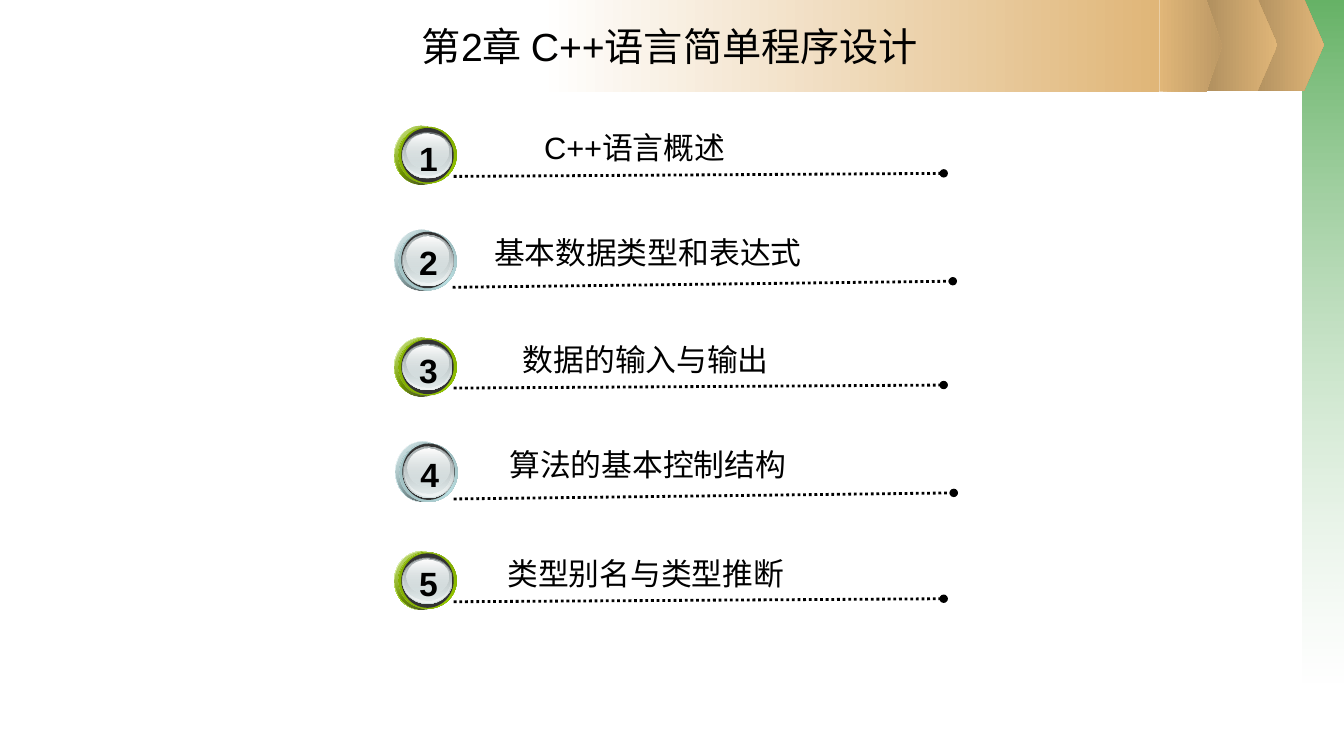
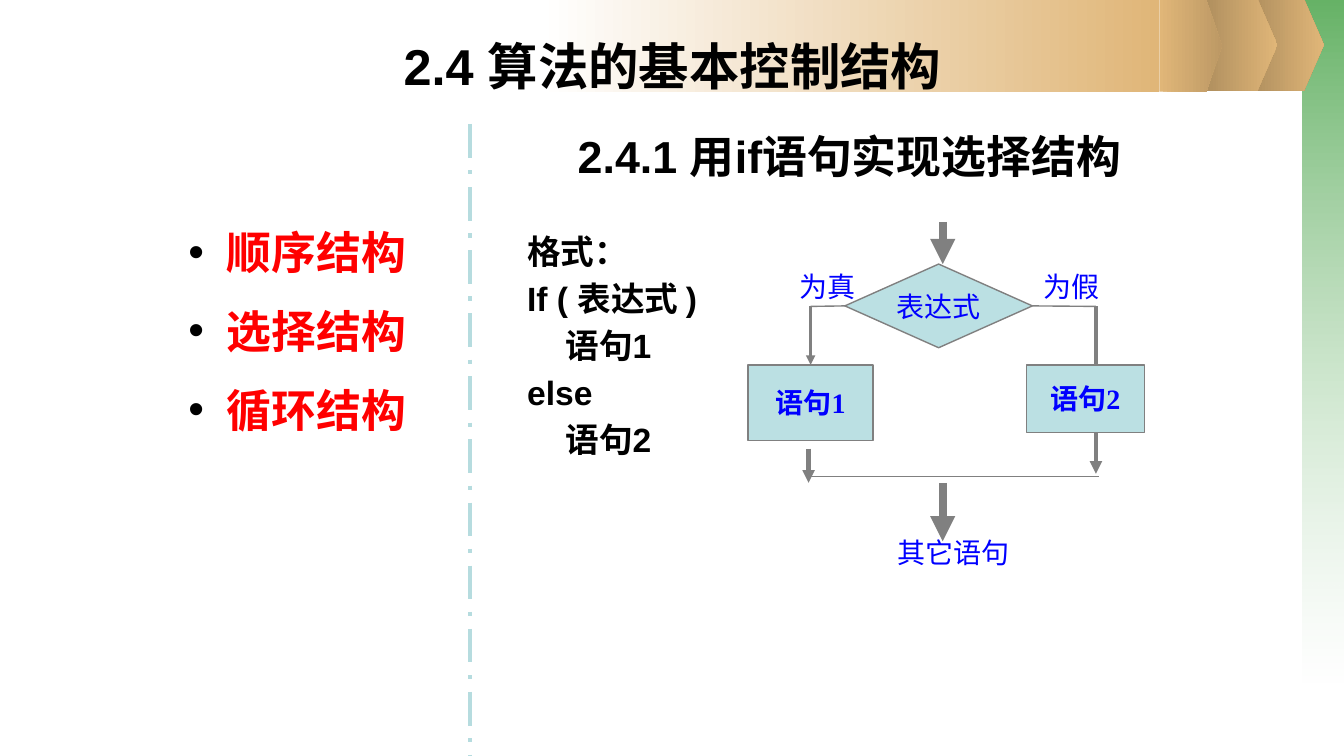
from dataclasses import dataclass
from typing import NamedTuple

from lxml import etree
from pptx import Presentation
from pptx import util as u
from pptx.dml.color import RGBColor
from pptx.enum import dml, shapes, text
from pptx.oxml.ns import qn

EMU_PER_PX = 9144  # 100 px to the inch
COLORS = {
    "black": "000000", "white": "FFFFFF", "red": "FF0000", "blue": "0000FF",
    "gray": "808080", "dark": "333333", "forest": "339933",
    "tan": "E0B678", "tan_shade": "BD9965", "brown": "AB8B5C",
    "lime": "99CC00", "lime_rim": "759C00", "lime_edge": "7EA700",
    "aqua": "BBE0E3", "aqua_rim": "8FACAE", "aqua_edge": "9AB8BA",
    "aqua_line": "B6DCDF", "glass": "D6E1E2", "glass_dark": "636869",
    "glass_mid": "AAB2B3", "glass_light": "F1F5F5",
}
PRESET = shapes.MSO_SHAPE
CENTER = text.PP_ALIGN.CENTER
MIDDLE = text.MSO_ANCHOR.MIDDLE


class Box(NamedTuple):
    left: int
    top: int
    width: int
    height: int

    def moved(self, left: int, top: int) -> "Box":
        return Box(self.left + left, self.top + top, self.width, self.height)


class Stop(NamedTuple):
    position: int
    color: str
    opacity: int = 100


class Gradient(NamedTuple):
    angle: int
    stops: tuple[Stop, ...]


@dataclass(frozen=True)
class Style:
    size: int
    font: str = "Arial"
    color: str = "black"
    bold: bool = False
    align: text.PP_ALIGN | None = None
    before: float = 0
    spacing: float | None = None


@dataclass(frozen=True)
class Stroke:
    width: float
    color: str = "gray"
    dash: dml.MSO_LINE | None = None
    tail: str | None = None


@dataclass(frozen=True)
class Badge:
    """Colours and layer boxes of a round number badge, with its leader line."""
    colors: tuple[str, str, str]
    layers: tuple[Box, ...]
    leader: tuple[int, int, int, int]


class Chapter(NamedTuple):
    left: int
    top: int
    label: str
    label_box: Box


CHAPTER_TITLE = Style(28, align=CENTER)
SECTION_TITLE = Style(36, bold=True, align=CENTER)
SUBTITLE = Style(32, bold=True, align=CENTER)
CHAPTER_LABEL = Style(22, align=CENTER)
NUMBER = Style(24, bold=True, align=CENTER)
TOPIC = Style(32, color="red", bold=True, before=6.4, spacing=1.3)
CODE = Style(24, bold=True, before=4.8)
BRANCH = Style(20, "Times New Roman", "blue")
NODE = Style(20, "Times New Roman", "blue", align=CENTER)
STATEMENT = Style(20, "Times New Roman", "blue", bold=True, align=CENTER)

LEADER = Stroke(2, "black", dml.MSO_LINE.ROUND_DOT, "oval")
DIVIDER = Stroke(3, "aqua_line", dml.MSO_LINE.LONG_DASH_DOT)
THIN = Stroke(1)
BRANCH_ARROW = Stroke(2.25, tail="triangle")
MERGE_ARROW = Stroke(3, tail="triangle")
FLOW_ARROW = Stroke(6, tail="triangle")

ARROW_FILL = Gradient(0, (Stop(0, "brown"), Stop(100, "tan")))
BANDS = (
    (PRESET.RECTANGLE, Box(1292, 0, 41, 677),
     Gradient(90, (Stop(0, "forest", 75), Stop(100, "white", 37)))),
    (PRESET.PENTAGON, Box(1234, -1, 79, 91), ARROW_FILL),
    (PRESET.PENTAGON, Box(1188, -1, 79, 91), ARROW_FILL),
    (PRESET.RECTANGLE, Box(536, 0, 614, 91),
     Gradient(0, (Stop(0, "white"), Stop(100, "tan")))),
    (PRESET.PENTAGON, Box(1150, 0, 62, 91),
     Gradient(0, (Stop(0, "tan"), Stop(100, "tan_shade")))),
)

NUMBER_BOX = Box(15, 7, 37, 50)
BADGES = (
    Badge(("lime", "lime_rim", "lime_edge"),
          (Box(0, 0, 53, 58), Box(0, 0, 53, 58), Box(4, 1, 58, 56),
           Box(4, 1, 58, 56), Box(7, 2, 52, 54), Box(8, 6, 50, 46),
           Box(8, 6, 49, 45), Box(9, 7, 47, 42), Box(12, 8, 42, 34)),
          (59, 50, 545, 47)),
    Badge(("aqua", "aqua_rim", "aqua_edge"),
          (Box(0, 0, 54, 60), Box(0, 0, 54, 60), Box(4, 2, 58, 58),
           Box(4, 2, 58, 58), Box(7, 2, 52, 56), Box(8, 5, 51, 51),
           Box(9, 5, 49, 50), Box(9, 5, 47, 47), Box(12, 7, 42, 38)),
          (58, 57, 554, 51)),
)
CHAPTERS = (
    Chapter(391, 125, "C++语言概述", Box(399, 123, 461, 47)),
    Chapter(391, 228, "基本数据类型和表达式", Box(401, 227, 483, 47)),
    Chapter(391, 335, "数据的输入与输出", Box(399, 333, 483, 47)),
    Chapter(392, 438, "算法的基本控制结构", Box(401, 437, 483, 47)),
    Chapter(391, 547, "类型别名与类型推断", Box(399, 545, 483, 47)),
)
FREE_LINES = (
    ((802, 445, 802, 479), MERGE_ARROW),
    ((800, 473, 1090, 473), THIN),
    ((1087, 304, 1087, 470), MERGE_ARROW),
    ((935, 479, 935, 537), FLOW_ARROW),
    ((935, 220, 935, 262), FLOW_ARROW),
)
BRANCH_LABELS = (
    ("为真", Box(783, 262, 76, 44)),
    ("为假", Box(1025, 262, 76, 44)),
    ("其它语句", Box(880, 526, 131, 44)),
)


def px(length: int) -> u.Emu:
    return u.Emu(length * EMU_PER_PX)


def rgb(name: str) -> RGBColor:
    return RGBColor.from_string(COLORS[name])


def set_gradient(shape, gradient: Gradient) -> None:
    shape.fill.gradient()
    element = shape.element.spPr.find(qn("a:gradFill"))
    for child in list(element):
        element.remove(child)
    stops = etree.SubElement(element, qn("a:gsLst"))
    for stop in gradient.stops:
        mark = etree.SubElement(stops, qn("a:gs"), pos=str(stop.position * 1000))
        color = etree.SubElement(mark, qn("a:srgbClr"), val=COLORS[stop.color])
        if stop.opacity < 100:
            etree.SubElement(color, qn("a:alpha"), val=str(stop.opacity * 1000))
    etree.SubElement(element, qn("a:lin"), ang=str(gradient.angle * 60000), scaled="0")


def add_shape(parent, preset: PRESET, box: Box, fill: Gradient | str,
              outline: str | None = None):
    shape = parent.shapes.add_shape(preset, *map(px, box))
    shape.shadow.inherit = False
    if isinstance(fill, Gradient):
        set_gradient(shape, fill)
    else:
        shape.fill.solid()
        shape.fill.fore_color.rgb = rgb(fill)
    if outline:
        shape.line.color.rgb = rgb(outline)
        shape.line.width = u.Pt(1)
    else:
        shape.line.fill.background()
    return shape


def add_line(page, ends: tuple[int, int, int, int], stroke: Stroke):
    line = page.shapes.add_connector(shapes.MSO_CONNECTOR.STRAIGHT, *map(px, ends))
    line.line.color.rgb = rgb(stroke.color)
    line.line.width = u.Pt(stroke.width)
    if stroke.dash:
        line.line.dash_style = stroke.dash
    if stroke.tail:
        etree.SubElement(line.get_or_add_ln(), qn("a:tailEnd"), type=stroke.tail)
    etree.SubElement(line.element.spPr, qn("a:effectLst"))
    return line


def write(frame, lines: tuple[str, ...], style: Style) -> None:
    for index, line in enumerate(lines):
        para = frame.paragraphs[0] if index == 0 else frame.add_paragraph()
        para.add_run().text = line
        para.alignment = style.align
        para.space_before = u.Pt(style.before)
        para.line_spacing = style.spacing
        para.font.size = u.Pt(style.size)
        para.font.name = style.font
        para.font.bold = style.bold
        para.font.color.rgb = rgb(style.color)


def add_text(parent, box: Box, style: Style, *lines: str, wrap: bool = True,
             anchor: text.MSO_ANCHOR = text.MSO_ANCHOR.TOP):
    frame = parent.shapes.add_textbox(*map(px, box)).text_frame
    frame.word_wrap = wrap
    frame.vertical_anchor = anchor
    write(frame, lines, style)
    return frame


def indent(para, left: int, first: int = 0) -> None:
    properties = para._p.get_or_add_pPr()
    properties.set("marL", str(px(left)))
    properties.set("indent", str(px(first)))


def add_bullet(para, color: str) -> None:
    defaults = para._p.get_or_add_pPr().find(qn("a:defRPr"))
    bullet_color = etree.Element(qn("a:buClr"))
    etree.SubElement(bullet_color, qn("a:srgbClr"), val=COLORS[color])
    defaults.addprevious(bullet_color)
    defaults.addprevious(etree.Element(qn("a:buFont"), typeface="Arial"))
    defaults.addprevious(etree.Element(qn("a:buChar"), char="•"))


def add_bands(layout, page) -> None:
    """Draw the bands on the page and move them to the layout all pages share."""
    for preset, box, fill in BANDS:
        band = add_shape(page, preset, box, fill)
        if preset == PRESET.PENTAGON:
            band.adjustments[0] = 0.25
        layout.shapes.element.append(band.element)


def badge_fills(base: str, rim: str, edge: str) -> tuple[Gradient | str, ...]:
    """Fills of a badge's layers, from back to front."""
    return (
        Gradient(45, (Stop(0, "white"), Stop(50, base), Stop(100, "white"))),
        Gradient(45, (Stop(0, base, 32), Stop(100, "black", 90))),
        Gradient(315, (Stop(0, rim), Stop(50, base), Stop(100, rim))),
        Gradient(45, (Stop(0, edge), Stop(100, base, 0))),
        "dark",
        Gradient(90, (Stop(0, "glass_dark"), Stop(100, "glass"))),
        Gradient(90, (Stop(0, "glass", 0), Stop(100, "glass_light"))),
        Gradient(90, (Stop(0, "glass_mid"), Stop(100, "glass", 48))),
        Gradient(90, (Stop(0, "white"), Stop(100, "glass", 38))),
    )


def add_chapter(page, number: int, chapter: Chapter) -> None:
    left, top = chapter.left, chapter.top
    badge = BADGES[(number - 1) % len(BADGES)]
    x1, y1, x2, y2 = badge.leader
    add_line(page, (left + x1, top + y1, left + x2, top + y2), LEADER)
    group = page.shapes.add_group_shape()
    for layer, fill in zip(badge.layers, badge_fills(*badge.colors)):
        add_shape(group, PRESET.OVAL, layer.moved(left, top), fill)
    add_text(group, NUMBER_BOX.moved(left, top), NUMBER, str(number))
    add_text(page, chapter.label_box, CHAPTER_LABEL, chapter.label)


def add_node(page, preset: PRESET, box: Box, label: str, style: Style):
    node = add_shape(page, preset, box, "aqua", "gray")
    node.text_frame.word_wrap = False
    node.text_frame.vertical_anchor = MIDDLE
    write(node.text_frame, (label,), style)
    return node


def add_flowchart(page) -> None:
    for ends, stroke in FREE_LINES:
        add_line(page, ends, stroke)
    for label, box in BRANCH_LABELS:
        add_text(page, box, BRANCH, label, wrap=False)
    decision = add_node(page, PRESET.FLOWCHART_DECISION, Box(838, 262, 186, 83), "表达式", NODE)
    process = PRESET.FLOWCHART_PROCESS
    first = add_node(page, process, Box(742, 362, 124, 75), "语句1", STATEMENT)
    add_node(page, process, Box(1018, 362, 117, 67), "语句2", STATEMENT)
    add_line(page, (838, 304, 804, 304), THIN).begin_connect(decision, 1)
    add_line(page, (1024, 304, 1087, 304), THIN).begin_connect(decision, 3)
    add_line(page, (804, 304, 804, 362), BRANCH_ARROW).end_connect(first, 0)


def fill_contents(page) -> None:
    add_text(page, Box(25, 14, 1279, 62), CHAPTER_TITLE,
             "第2章 C++语言简单程序设计", anchor=MIDDLE)
    for number, chapter in enumerate(CHAPTERS, start=1):
        add_chapter(page, number, chapter)


def fill_selection(page) -> None:
    topics = add_text(page, Box(45, 202, 379, 276), TOPIC, "顺序结构", "选择结构", "循环结构")
    for para in topics.paragraphs:
        indent(para, 170, -38)
        add_bullet(para, "black")
    add_text(page, Box(67, 30, 1200, 125), SECTION_TITLE, "2.4 算法的基本控制结构")
    code = add_text(page, Box(513, 224, 284, 256), CODE,
                    "格式：", "If ( 表达式 )", "语句1", "else", "语句2")
    for para in code.paragraphs[2::2]:
        indent(para, 38)
    add_flowchart(page)
    add_text(page, Box(484, 123, 717, 125), SUBTITLE, "2.4.1 用if语句实现选择结构")
    add_line(page, (466, 123, 466, 750), DIVIDER)


def main() -> None:
    deck = Presentation()
    deck.slide_width, deck.slide_height = px(1333), px(750)
    blank = deck.slide_layouts[6]
    contents, selection = (deck.slides.add_slide(blank) for _ in range(2))
    add_bands(blank, contents)
    fill_contents(contents)
    fill_selection(selection)
    deck.save("out.pptx")


if __name__ == "__main__":
    main()
